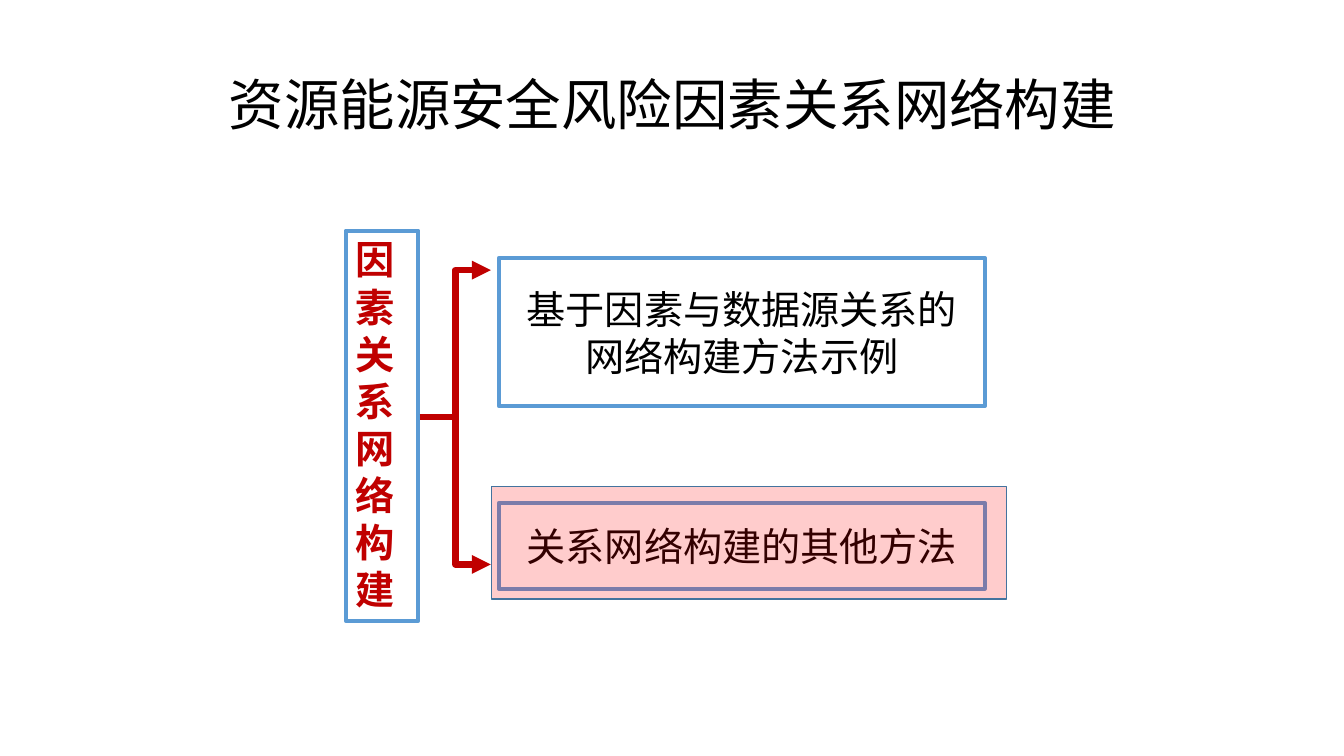
from dataclasses import dataclass

from lxml import etree
from pptx import Presentation
from pptx.dml.color import RGBColor
from pptx.enum.lang import MSO_LANGUAGE_ID
from pptx.enum.shapes import MSO_CONNECTOR, MSO_SHAPE
from pptx.enum.text import MSO_ANCHOR, MSO_AUTO_SIZE, PP_ALIGN
from pptx.oxml.ns import qn
from pptx.util import Pt

RECTANGLE = MSO_SHAPE.RECTANGLE
ELBOW = MSO_CONNECTOR.ELBOW
CENTER, LEFT = PP_ALIGN.CENTER, PP_ALIGN.LEFT
MIDDLE, TOP = MSO_ANCHOR.MIDDLE, MSO_ANCHOR.TOP
FIXED_SIZE = MSO_AUTO_SIZE.NONE
CHINESE = MSO_LANGUAGE_ID.SIMPLIFIED_CHINESE
TITLE_ONLY = 5


@dataclass(frozen=True)
class Theme:
    black: str = "000000"
    white: str = "FFFFFF"
    blue: str = "5B9BD5"
    dark_blue: str = "43739E"
    crimson: str = "C00000"
    red: str = "FF0000"
    title_font: str = "Calibri"
    font: str = "Noto Sans CJK SC"
    title_size: float = 39.6
    body_size: float = 28


THEME = Theme()


def color(code):
    return RGBColor.from_string(code)


def write_text(box, text, *, size=THEME.body_size, font=THEME.font, ink=THEME.black,
               bold=False, align=CENTER, anchor=MIDDLE, spacing=1.0):
    frame = box.text_frame
    frame.word_wrap = True
    frame.auto_size = FIXED_SIZE
    frame.vertical_anchor = anchor
    para = frame.paragraphs[0]
    para.alignment = align
    para.line_spacing = spacing
    span = para.add_run()
    span.text = text
    span.font.size = Pt(size)
    span.font.bold = bold
    span.font.name = font
    span.font.color.rgb = color(ink)
    span.font.language_id = CHINESE
    east_asian = etree.SubElement(span.font._element, qn("a:ea"))
    east_asian.set("typeface", THEME.font)


def place(box, left, top, width, height):
    box.left, box.top, box.width, box.height = Pt(left), Pt(top), Pt(width), Pt(height)


def add_box(page, left, top, width, height, *, fill=None, opacity=None,
            line=THEME.blue, weight=3):
    box = page.shapes.add_shape(RECTANGLE, Pt(left), Pt(top), Pt(width), Pt(height))
    box.shadow.inherit = False
    if fill is None:
        box.fill.background()
    else:
        box.fill.solid()
        box.fill.fore_color.rgb = color(fill)
    if opacity is not None:
        fill_color = box.fill._xPr.find(qn("a:solidFill"))[0]
        etree.SubElement(fill_color, qn("a:alpha")).set("val", str(opacity * 1000))
    box.line.color.rgb = color(line)
    box.line.width = Pt(weight)
    return box


def add_branch(page, start_x, start_y, end_x, end_y):
    branch = page.shapes.add_connector(ELBOW, Pt(start_x), Pt(start_y), Pt(end_x), Pt(end_y))
    branch.line.color.rgb = color(THEME.crimson)
    branch.line.width = Pt(4.5)
    etree.SubElement(branch.line._get_or_add_ln(), qn("a:tailEnd")).set("type", "triangle")
    etree.SubElement(branch._element.spPr, qn("a:effectLst"))


def main():
    deck = Presentation()
    deck.slide_width, deck.slide_height = Pt(960), Pt(540)
    page = deck.slides.add_slide(deck.slide_layouts[TITLE_ONLY])

    title = page.shapes.title
    place(title, 127.4, 54.7, 705.6, 44.6)
    write_text(title, "资源能源安全风险因素关系网络构建", size=THEME.title_size,
               font=THEME.title_font, spacing=0.9)

    example = add_box(page, 356.4, 184.3, 347, 105.8, fill=THEME.white)
    write_text(example, "基于因素与数据源关系的网络构建方法示例")

    topic = add_box(page, 247, 164.9, 51.8, 278.6, fill=THEME.white)
    write_text(topic, "因素关系网络构建", ink=THEME.crimson, bold=True,
               align=LEFT, anchor=TOP)

    others = add_box(page, 356.4, 359.3, 347, 61.2)
    write_text(others, "关系网络构建的其他方法")

    fork_y, reach = 298.1, 105.1
    for end_y in (fork_y + reach, fork_y - reach):
        add_branch(page, 300, fork_y, 350.6, end_y)

    add_box(page, 351, 347.4, 367.9, 80.6, fill=THEME.red, opacity=20,
            line=THEME.dark_blue, weight=1)

    deck.save("out.pptx")


if __name__ == "__main__":
    main()
